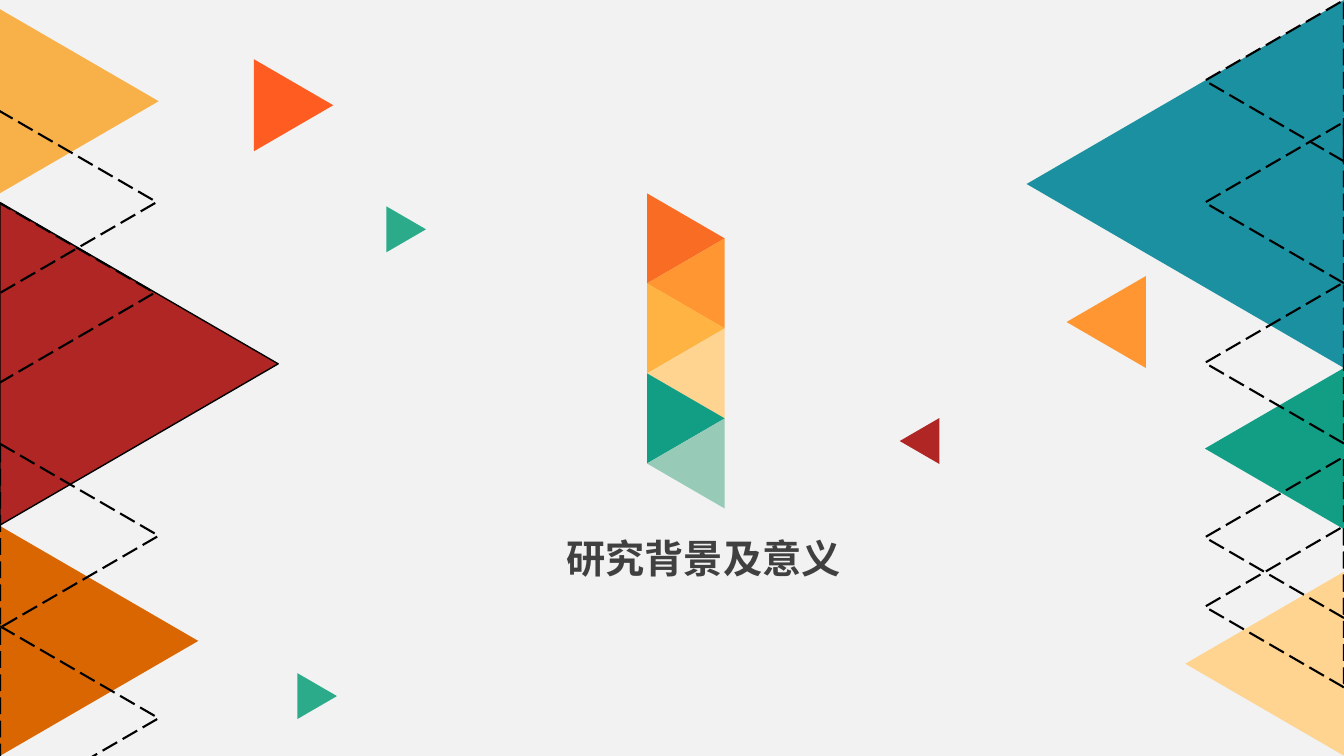
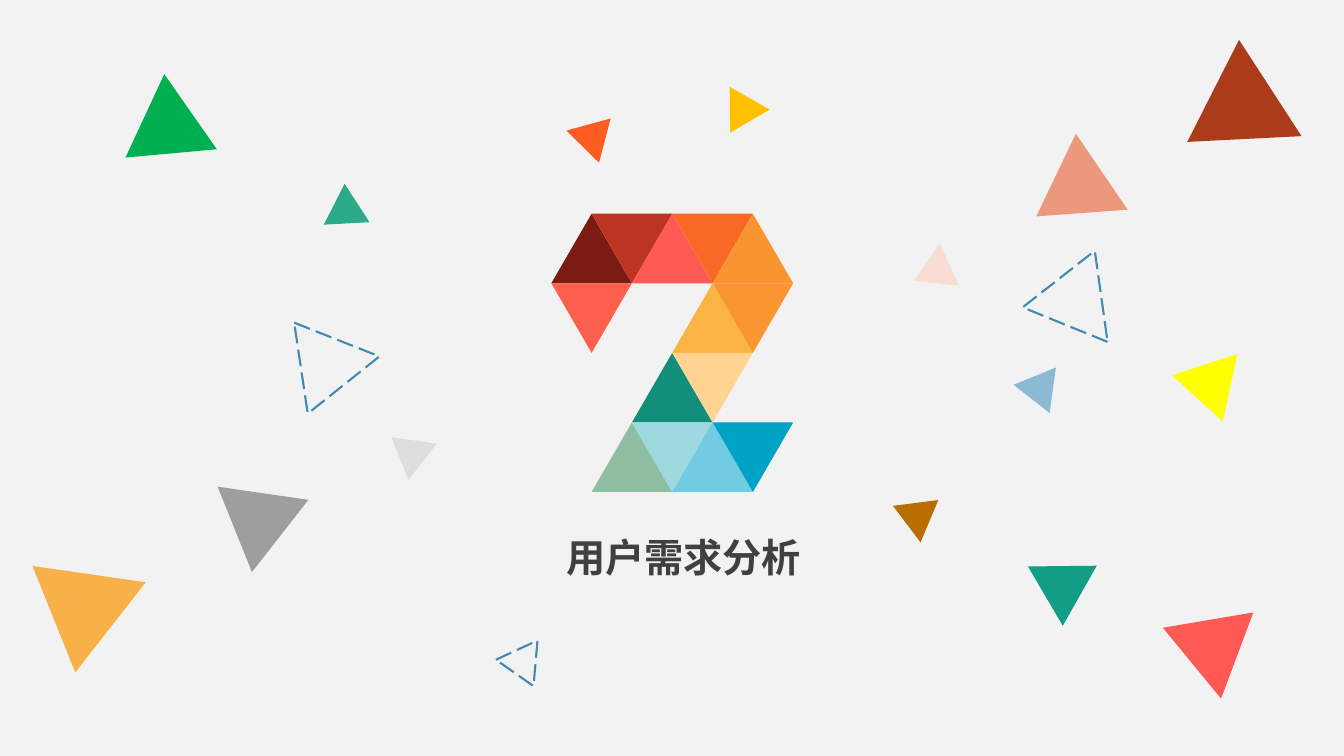
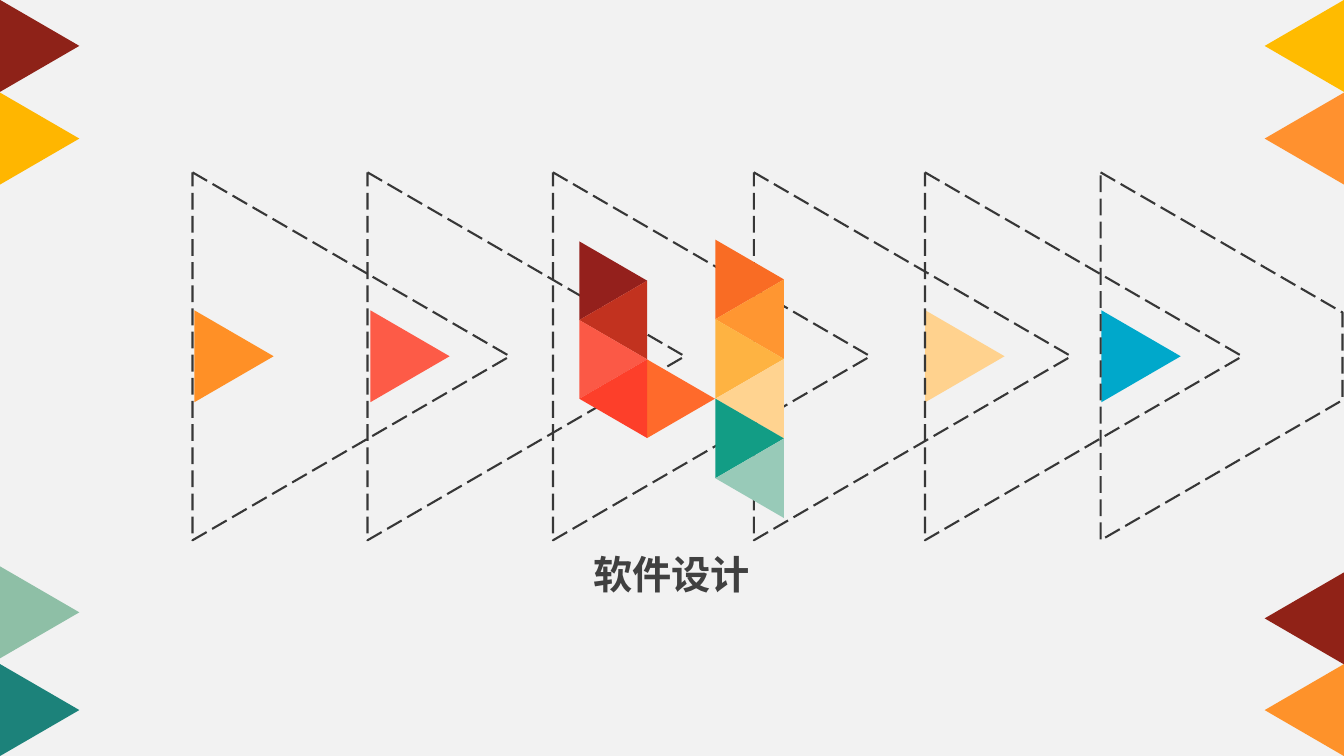
from dataclasses import dataclass
from typing import Any, Optional

import lxml.etree
import pptx
import pptx.dml.color
import pptx.enum.dml
import pptx.enum.shapes
import pptx.enum.text
import pptx.oxml.ns
import pptx.util

Pt = pptx.util.Pt

PAGE_WIDTH, PAGE_HEIGHT = 960, 540
HEIGHT_RATIO = 0.8625
TITLE_WIDTH, TITLE_HEIGHT = 262, 41
TITLE_FONT = "Noto Sans CJK SC"
BACKGROUND, TITLE_COLOR = "F2F2F2", "404040"
BLACK, BLUE, CHARCOAL = "000000", "418AB3", "373737"
TINY, SMALL, MEDIUM, LARGE, HUGE = 32.8, 65.7, 82, 131.4, 262.8
EDGE_SIDE = 115.2
STRIP_COLORS = ["F96C24", "FF9631", "FEB342", "FFD390", "129D85", "98CAB8"]
HOOK_COLORS = ["94201C", "C2321F", "FB5946", "FD3F2A"]


@dataclass(frozen=True)
class Triangle:
    x: float
    y: float
    side: float
    turn: float
    fill: Optional[str] = None
    line: Optional[str] = None


@dataclass(frozen=True)
class Section:
    title: str
    title_x: float
    title_top: float
    triangles: list[Triangle]


def color(value: str) -> pptx.dml.color.RGBColor:
    return pptx.dml.color.RGBColor.from_string(value)


def rightward(base: float, y: float, side: float,
              fill: Optional[str] = None, line: Optional[str] = None) -> Triangle:
    return Triangle(base + side * HEIGHT_RATIO / 2, y, side, 90, fill, line)


def leftward(base: float, y: float, side: float,
             fill: Optional[str] = None, line: Optional[str] = None) -> Triangle:
    return Triangle(base - side * HEIGHT_RATIO / 2, y, side, 270, fill, line)


def strip(left: float, y: float, side: float, colors: list[str]) -> list[Triangle]:
    right = left + side * HEIGHT_RATIO
    return [
        leftward(right, y + index * side / 2, side, fill) if index % 2
        else rightward(left, y + index * side / 2, side, fill)
        for index, fill in enumerate(colors)
    ]


def numeral_two() -> list[Triangle]:
    side, left, top = 57.6, 422.6, 177.5
    rows = [
        {0: "7B1B11", 1: "BC3523", 2: "FF5953", 3: "F86926", 4: "F89531"},
        {0: "FB5F4D", 3: "FBB343", 4: "F99632"},
        {2: "128E7B", 3: "FFD491"},
        {1: "90BEA2", 2: "9FD9E0", 3: "71CCE3", 4: "00A2C6"},
    ]
    return [
        Triangle(left + column * side / 2, top + row * side * HEIGHT_RATIO, side,
                 180 * ((row + column) % 2), fill)
        for row, cells in enumerate(rows)
        for column, fill in cells.items()
    ]


def style_outline(shape: Any, line: Optional[str], dashed: bool) -> None:
    shape.shadow.inherit = False
    if line is None:
        shape.line.fill.background()
        return
    shape.line.color.rgb = color(line)
    shape.line.width = Pt(1.5 if dashed else 1)
    if dashed:
        shape.line.dash_style = pptx.enum.dml.MSO_LINE.LONG_DASH


def draw_triangle(page: Any, triangle: Triangle) -> None:
    height = triangle.side * HEIGHT_RATIO
    shape = page.shapes.add_shape(
        pptx.enum.shapes.MSO_SHAPE.ISOSCELES_TRIANGLE,
        Pt(triangle.x - triangle.side / 2), Pt(triangle.y - height / 2),
        Pt(triangle.side), Pt(height))
    shape.rotation = triangle.turn
    if triangle.fill:
        shape.fill.solid()
        shape.fill.fore_color.rgb = color(triangle.fill)
    else:
        shape.fill.background()
    style_outline(shape, triangle.line, dashed=triangle.fill is None)


def draw_cut_triangle(page: Any) -> None:
    points = [(Pt(x), Pt(y)) for x, y in
              [(786.2, 123.1), (959, 223.2), (959, 285.8), (786.2, 385.9)]]
    builder = page.shapes.build_freeform(*points[0])
    builder.add_line_segments(points[1:], close=True)
    shape = builder.convert_to_shape()
    shape.fill.background()
    style_outline(shape, CHARCOAL, dashed=True)


def write_title(page: Any, section: Section) -> None:
    box = page.shapes.title
    box.left, box.top = Pt(section.title_x - TITLE_WIDTH / 2), Pt(section.title_top)
    box.width, box.height = Pt(TITLE_WIDTH), Pt(TITLE_HEIGHT)
    frame = box.text_frame
    frame.margin_left = frame.margin_right = frame.margin_top = frame.margin_bottom = 0
    frame.vertical_anchor = pptx.enum.text.MSO_ANCHOR.MIDDLE
    frame.auto_size = pptx.enum.text.MSO_AUTO_SIZE.NONE
    frame.word_wrap = True
    para = frame.paragraphs[0]
    para.text = section.title
    para.alignment = pptx.enum.text.PP_ALIGN.CENTER
    para.font.name = TITLE_FONT
    para.font.size = Pt(28)
    para.font.bold = True
    para.font.color.rgb = color(TITLE_COLOR)
    defaults = para._p.get_or_add_pPr().find(pptx.oxml.ns.qn("a:defRPr"))
    lxml.etree.SubElement(defaults, pptx.oxml.ns.qn("a:ea"), typeface=TITLE_FONT)


def background_section() -> Section:
    triangles = strip(462.2, 170.3, 64.3, STRIP_COLORS)
    triangles += [
        rightward(0, 259.9, 230.4, "AF2625", BLACK),
        rightward(0, 72.3, LARGE, "F8B149"),
        rightward(0, 457.8, 164.2, "D96600"),
    ]
    triangles += [rightward(base, y, LARGE, line=BLACK) for base, y in
                  [(-1.4, 144.4), (-2.9, 209.2), (0, 382.7), (0, 513)]]
    triangles += [
        rightward(181.4, 75.2, SMALL, "FE5C20"),
        rightward(276, 163.8, TINY, "2CAB8B"),
        rightward(212.4, 497.2, TINY, "2CAB8B"),
        leftward(PAGE_WIDTH, 131.4, HUGE, "1A90A0"),
        leftward(PAGE_WIDTH, 320.4, EDGE_SIDE, "129D85"),
        leftward(PAGE_WIDTH, 474.1, LARGE, "FFD390"),
    ]
    triangles += [leftward(PAGE_WIDTH, y, EDGE_SIDE, line=BLACK)
                  for y in (259.2, 144.7, 383.8, 433.4, 57.6)]
    triangles += [
        leftward(818.5, 230, SMALL, "FF9631"),
        leftward(671, 315, TINY, "AF2625"),
    ]
    return Section("研究背景及意义", 502.5, 378, triangles)


def needs_section() -> Section:
    scattered = [
        Triangle(129.2, 94.7, SMALL, 114.9, "00B050"),
        Triangle(251.3, 152.3, TINY, 117, "2CAB8B"),
        Triangle(298.8, 322.2, TINY, 68.1, "DDDDDD"),
        Triangle(194, 367.6, SMALL, 68.1, "9E9E9E"),
        Triangle(71.3, 429.1, MEDIUM, 68.1, "F8B149"),
        Triangle(665.3, 194.8, TINY, 245.8, "F9DDD4"),
        Triangle(763.6, 138.6, SMALL, 235.7, "EC987D"),
        Triangle(877.7, 82.1, MEDIUM, 237, "AB3C19"),
        Triangle(738, 276.8, TINY, 277.9, "8ABAD4"),
        Triangle(857.9, 272.5, 49.3, 282.2, "FFFF00"),
        Triangle(650.9, 366.8, TINY, 292.8, "B86E00"),
        Triangle(857.2, 458.3, SMALL, 290.5, "FF5953"),
        Triangle(752.8, 415.1, 49.3, 299.5, "129D85"),
        Triangle(528.5, 82.4, TINY, 209.6, "FFC000"),
        Triangle(424.1, 102.6, TINY, 164.7, "FE5C20"),
        Triangle(243, 258.8, SMALL, 81.5, line=BLUE),
        Triangle(375.8, 469.1, TINY, 35.1, line=BLUE),
        Triangle(758.5, 215.6, SMALL, 262, line=BLUE),
    ]
    return Section("用户需求分析", 488.2, 377.3, numeral_two() + scattered)


def design_section() -> Section:
    middle = 254.5
    triangles = [rightward(0, y, SMALL, fill) for y, fill in
                 [(32.8, "8E2218"), (99, "FFB600"), (507.2, "1C827A"), (437.4, "8EBFA6")]]
    triangles += [leftward(PAGE_WIDTH, y, SMALL, fill) for y, fill in
                  [(32.8, "FFBB00"), (99, "FF912F"), (507.2, "FE922A"), (441.7, "902217")]]
    triangles += [rightward(base, middle, SMALL, fill) for base, fill in
                  [(264.5, "FD5B47"), (138.8, "FF9026"), (660.9, "FFD28E"), (786.7, "00A8CB")]]
    triangles += [rightward(base, middle, HUGE, line=CHARCOAL)
                  for base in (137.5, 262.5, 660.7, 395, 538.5)]
    triangles.append(rightward(462.2, 284.8, 56.2, "FF6A2B"))
    triangles += strip(413.8, 200.5, 56.2, HOOK_COLORS)
    triangles += strip(511, 199.6, 56.8, STRIP_COLORS)
    return Section("软件设计", 479.9, 389.5, triangles)


def add_section(deck: Any, section: Section) -> Any:
    page = deck.slides.add_slide(deck.slide_layouts.get_by_name("Title Only"))
    write_title(page, section)
    for triangle in section.triangles:
        draw_triangle(page, triangle)
    return page


def main() -> None:
    deck = pptx.Presentation()
    deck.slide_width, deck.slide_height = Pt(PAGE_WIDTH), Pt(PAGE_HEIGHT)
    backdrop = deck.slide_master.background.fill
    backdrop.solid()
    backdrop.fore_color.rgb = color(BACKGROUND)
    add_section(deck, background_section())
    add_section(deck, needs_section())
    draw_cut_triangle(add_section(deck, design_section()))
    deck.save("out.pptx")


if __name__ == "__main__":
    main()
